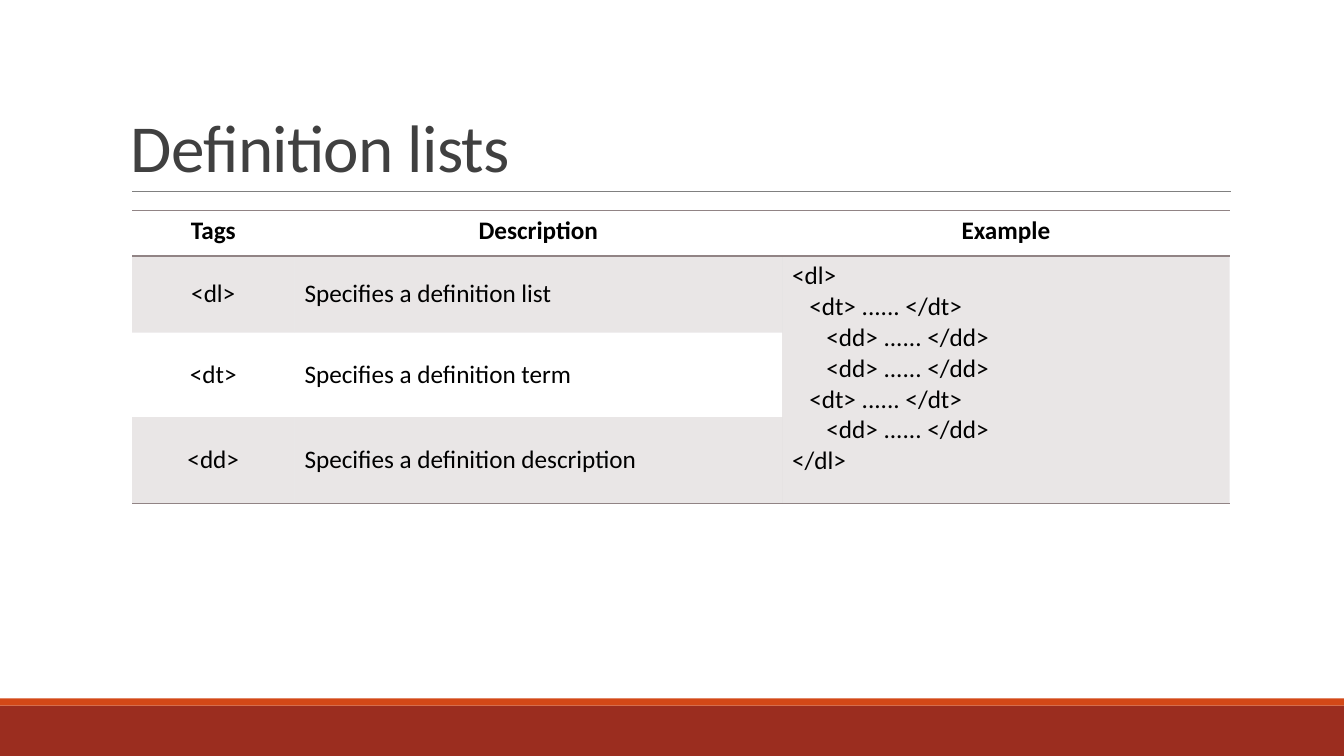
"""Build a slide that explains the HTML definition list tags."""
from dataclasses import dataclass

from lxml import etree
from pptx import Presentation
from pptx import util as u
from pptx.dml.color import RGBColor
from pptx.enum import shapes, text
from pptx.oxml import ns


@dataclass(frozen=True)
class Theme:
    font: str = "Calibri"
    title_size: int = 48
    body_size: int = 18
    title: str = "404040"
    body: str = "000000"
    rule: str = "808080"
    band: str = "918485"
    band_alpha: int = 20
    footer: str = "9B2D1F"
    accent: str = "D34817"


THEME = Theme()
CENTER = text.PP_ALIGN.CENTER
MIDDLE = text.MSO_ANCHOR.MIDDLE
INDENT = u.Cm(0.43)


def write(frame, lines, size=THEME.body_size, color=THEME.body, bold=False,
          align=text.PP_ALIGN.LEFT, leading=None, tracking=None):
    for index, (level, line) in enumerate(lines):
        paragraph = frame.add_paragraph() if index else frame.paragraphs[0]
        paragraph.alignment = align
        paragraph.line_spacing = leading
        if level:
            paragraph._p.get_or_add_pPr().set("marL", str(level * INDENT))
        run = paragraph.add_run()
        run.text = line
        run.font.name = THEME.font
        run.font.size = u.Pt(size)
        run.font.bold = bold
        run.font.color.rgb = RGBColor.from_string(color)
        if tracking is not None:
            run._r.get_or_add_rPr().set("spc", str(round(tracking * 100)))


class Painter:
    def __init__(self, slide, theme):
        self.slide = slide
        self.theme = theme

    def bar(self, top, height, color):
        bar = self.slide.shapes.add_shape(
            shapes.MSO_SHAPE.RECTANGLE, 0, u.Cm(top), WIDTH, u.Cm(height))
        bar.shadow.inherit = False
        bar.fill.solid()
        bar.fill.fore_color.rgb = RGBColor.from_string(color)
        bar.line.fill.background()

    def rule(self, left, right, y):
        rule = self.slide.shapes.add_connector(
            shapes.MSO_CONNECTOR.STRAIGHT, u.Cm(left), u.Cm(y), u.Cm(right), u.Cm(y))
        rule.line.color.rgb = RGBColor.from_string(self.theme.rule)
        rule.line.width = u.Pt(0.5)
        etree.SubElement(rule._element.spPr, ns.qn("a:effectLst"))

    def title(self, left, top, width, height, heading):
        box = self.slide.shapes.add_textbox(*map(u.Cm, (left, top, width, height)))
        frame = box.text_frame
        frame.word_wrap = True
        frame.vertical_anchor = text.MSO_ANCHOR.BOTTOM
        write(frame, [(0, heading)], size=self.theme.title_size,
              color=self.theme.title, leading=0.85, tracking=-0.5)

    def table(self, left, top, widths, heights):
        frame = self.slide.shapes.add_table(
            len(heights), len(widths), u.Cm(left), u.Cm(top),
            u.Cm(sum(widths)), u.Cm(sum(heights)))
        table = frame.table
        table.first_row = table.horz_banding = False
        for column, width in zip(table.columns, widths):
            column.width = u.Cm(width)
        for row, height in zip(table.rows, heights):
            row.height = u.Cm(height)
        return table

    def cell(self, cell, lines=(), ruled="", banded=False, anchor=MIDDLE, **style):
        properties = cell._tc.get_or_add_tcPr()
        for side in "LRTB":
            border = etree.SubElement(properties, ns.qn(f"a:ln{side}"))
            if side in ruled:
                border.set("w", str(u.Pt(1)))
                fill = etree.SubElement(border, ns.qn("a:solidFill"))
                etree.SubElement(fill, ns.qn("a:srgbClr"), val=self.theme.band)
            else:
                etree.SubElement(border, ns.qn("a:noFill"))
        if banded:
            cell.fill.solid()
            cell.fill.fore_color.rgb = RGBColor.from_string(self.theme.band)
            color = properties.find(".//" + ns.qn("a:srgbClr") + f"[last()]")
            color = properties.find(ns.qn("a:solidFill")).find(ns.qn("a:srgbClr"))
            etree.SubElement(color, ns.qn("a:alpha"),
                             val=str(self.theme.band_alpha * 1000))
        else:
            cell.fill.background()
        cell.vertical_anchor = anchor
        write(cell.text_frame, lines, **style)


HEADINGS = ["Tags", "Description", "Example"]
TAGS = [
    ("<dl>", "Specifies a definition list"),
    ("<dt>", "Specifies a definition term"),
    ("<dd>", "Specifies a definition description"),
]
EXAMPLE = [
    (0, "<dl>"),
    (1, "<dt> ...... </dt>"),
    (2, "<dd> ...... </dd>"),
    (2, "<dd> ...... </dd>"),
    (1, "<dt> ...... </dt>"),
    (2, "<dd> ...... </dd>"),
    (0, "</dl>"),
]

deck = Presentation()
deck.slide_width, deck.slide_height = u.Cm(33.87), u.Cm(19.05)
WIDTH = deck.slide_width
painter = Painter(deck.slides.add_slide(deck.slide_layouts[6]), THEME)

painter.bar(17.78, 1.27, THEME.footer)
painter.bar(17.6, 0.18, THEME.accent)
painter.rule(3.33, 31.01, 4.83)
painter.title(3.05, 0.79, 27.94, 4.04, "Definition lists")

tag_table = painter.table(3.33, 5.31, [4.09, 12.29, 11.28], [1.14, 1.93, 2.13, 2.18])
for column, heading in enumerate(HEADINGS):
    painter.cell(tag_table.cell(0, column), [(0, heading)], ruled="TB",
                 anchor=text.MSO_ANCHOR.TOP, bold=True, align=CENTER)

for row, (tag, description) in enumerate(TAGS, start=1):
    edges = {1: "T", len(TAGS): "B"}.get(row, "")
    look = {"ruled": edges, "banded": row % 2 == 1}
    painter.cell(tag_table.cell(row, 0), [(0, tag)], align=CENTER, **look)
    painter.cell(tag_table.cell(row, 1), [(0, description)], **look)
    if row > 1:
        painter.cell(tag_table.cell(row, 2), ruled=edges, banded=True)

example = tag_table.cell(1, 2)
example.merge(tag_table.cell(len(TAGS), 2))
painter.cell(example, EXAMPLE, ruled="TB", banded=True, anchor=text.MSO_ANCHOR.TOP)

deck.save("out.pptx")
